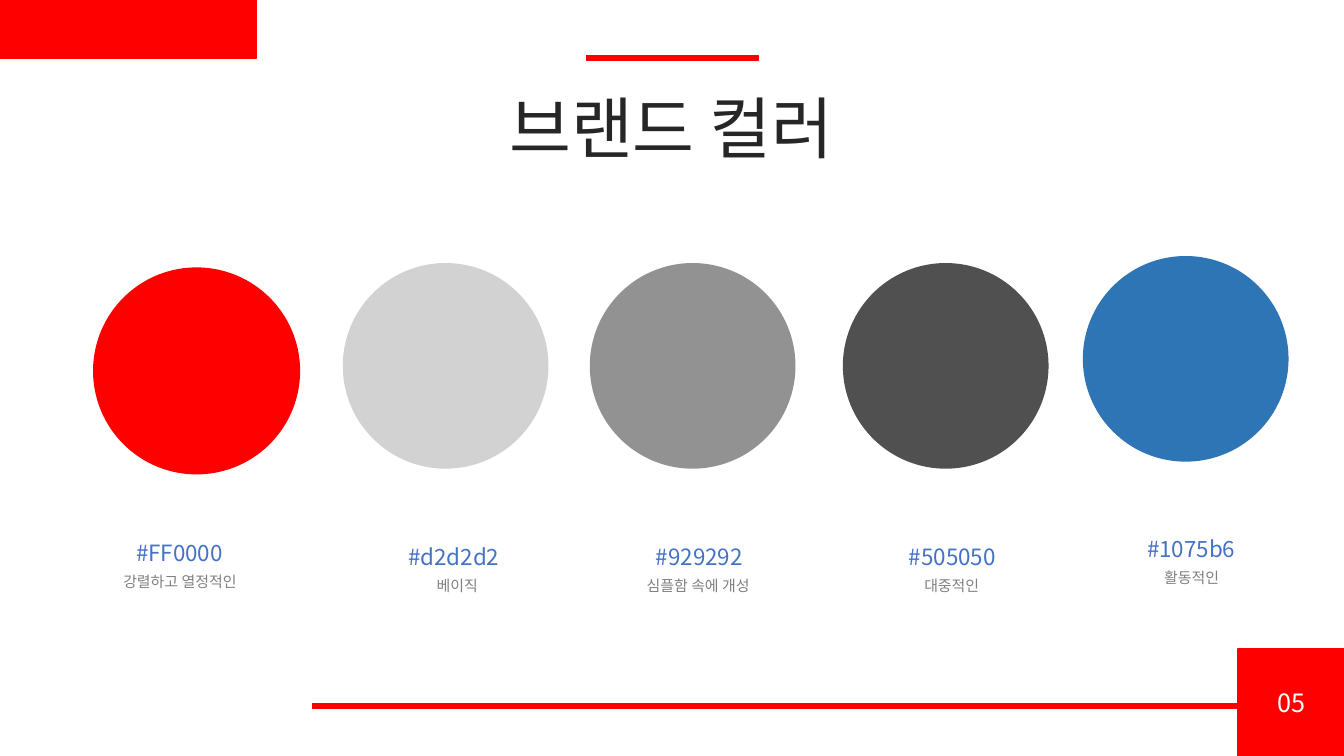
from lxml import etree
from pptx import Presentation
from pptx.dml.color import RGBColor
from pptx.enum.shapes import MSO_SHAPE
from pptx.enum.text import MSO_ANCHOR, MSO_AUTO_SIZE, PP_ALIGN
from pptx.oxml.ns import qn
from pptx.util import Inches, Pt

RECT, OVAL = MSO_SHAPE.RECTANGLE, MSO_SHAPE.OVAL
CENTER, MIDDLE = PP_ALIGN.CENTER, MSO_ANCHOR.MIDDLE
GROW = MSO_AUTO_SIZE.SHAPE_TO_FIT_TEXT
FONT = "Noto Sans CJK KR"
COLORS = {
    "red": "FF0000", "light": "D2D2D2", "mid": "929292", "dark": "505050",
    "blue": "2E75B6", "code": "4472C4", "note": "808080",
    "title": "262626", "white": "FFFFFF",
}

prs = Presentation()
prs.slide_width, prs.slide_height = Inches(13.33), Inches(7.5)
slide = prs.slides.add_slide(prs.slide_layouts[6])


def add_block(kind, x, y, w, h, color):
    """Add a filled shape; red ones also carry a thin red outline."""
    sp = slide.shapes.add_shape(kind, Inches(x), Inches(y), Inches(w), Inches(h))
    sp.shadow.inherit = False
    sp.fill.solid()
    sp.fill.fore_color.rgb = RGBColor.from_string(COLORS[color])
    if color == "red":
        sp.line.color.rgb = RGBColor.from_string(COLORS[color])
        sp.line.width = Pt(1)
    else:
        sp.line.fill.background()
    return sp


def write(text, size, color, box, sp=None):
    """Write centred text in a shape, or in a new unwrapped box."""
    if sp is None:
        sp = slide.shapes.add_textbox(*[Inches(v) for v in box])
        sp.text_frame.word_wrap = False
        sp.text_frame.auto_size = GROW
    tf = sp.text_frame
    tf.text = text
    p = tf.paragraphs[0]
    p.alignment = CENTER
    r = p.runs[0]
    r.font.size = Pt(size)
    r.font.color.rgb = RGBColor.from_string(COLORS[color])
    r.font.name = FONT
    east_asian = etree.SubElement(r.font._element, qn("a:ea"))
    east_asian.set("typeface", FONT)


# Frame: page number, footer bar, title bar and corner block
page = add_block(RECT, 12.28, 6.44, 1.06, 1.06, "red")
page.text_frame.vertical_anchor = MIDDLE
write("05", 18, "white", None, page)
for bar in [(3.1, 6.98, 9.18, 0.05), (5.82, 0.55, 1.7, 0.05), (0, 0, 2.54, 0.58)]:
    add_block(RECT, *bar, "red")

write("브랜드 컬러", 48, "title", (4.76, 0.81, 3.8, 0.91))

# Colour, circle left and top, label top, then text, left and width of both labels
swatches = [
    ("red", 0.93, 2.66, 5.3, "#FF0000", 1.25, 1.06, "강렬하고 열정적인", 1.06, 1.45),
    ("light", 3.4, 2.61, 5.34, "#d2d2d2", 3.94, 1.12, "베이직", 4.21, 0.65),
    ("mid", 5.85, 2.61, 5.34, "#929292", 6.39, 1.09, "심플함 속에 개성", 6.25, 1.35),
    ("dark", 8.36, 2.61, 5.34, "#505050", 8.9, 1.09, "대중적인", 9.04, 0.8),
    ("blue", 10.74, 2.54, 5.26, "#1075b6", 11.27, 1.09, "활동적인", 11.42, 0.8),
]
for color, x, y, label_y, code, code_x, code_w, note, note_x, note_w in swatches:
    add_block(OVAL, x, y, 2.04, 2.04, color)
    write(code, 16, "code", (code_x, label_y, code_w, 0.37))
    write(note, 10.7, "note", (note_x, label_y + 0.33, note_w, 0.28))

prs.save("out.pptx")
